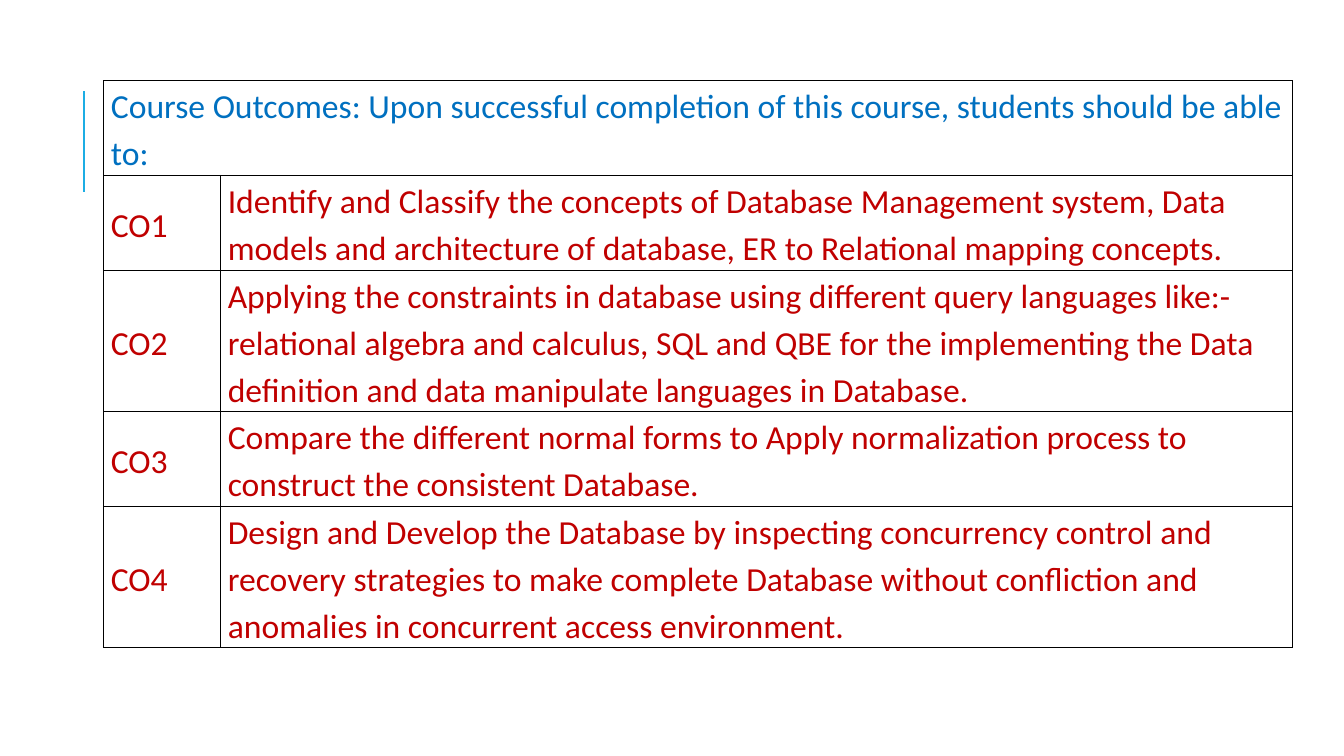
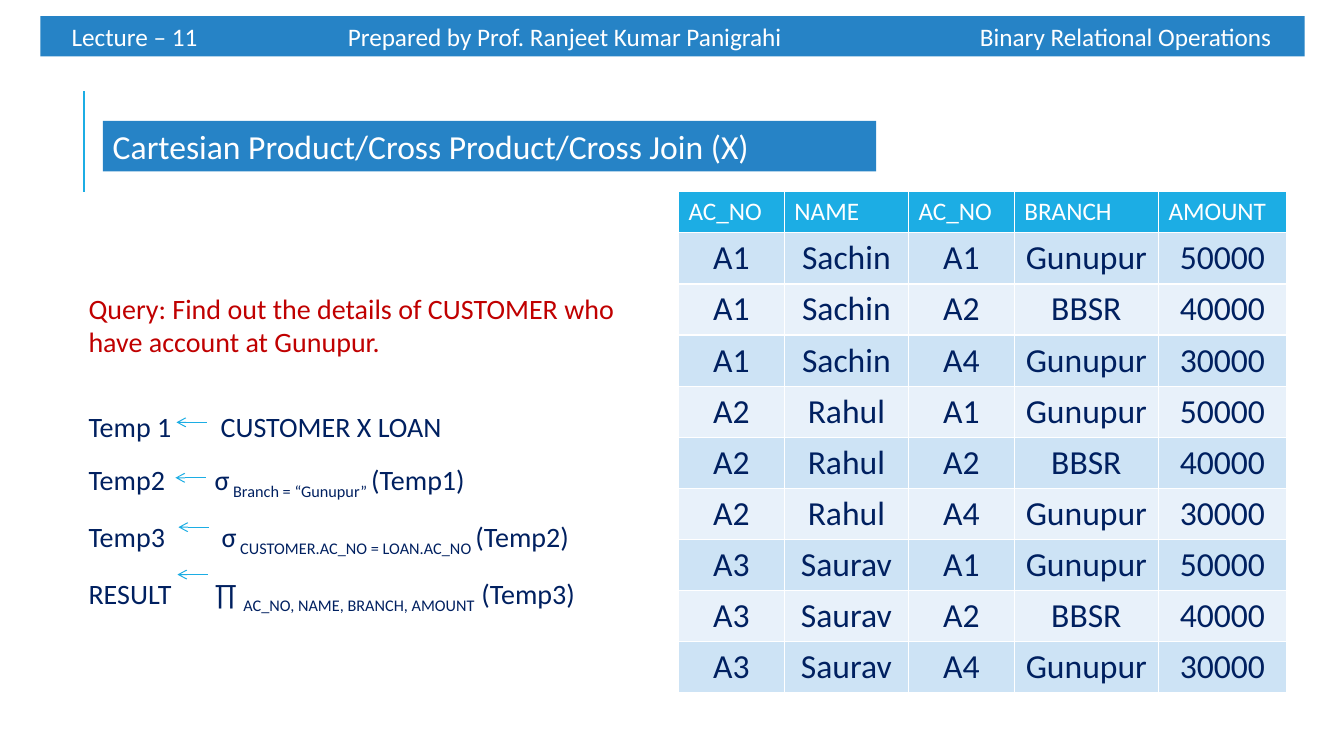
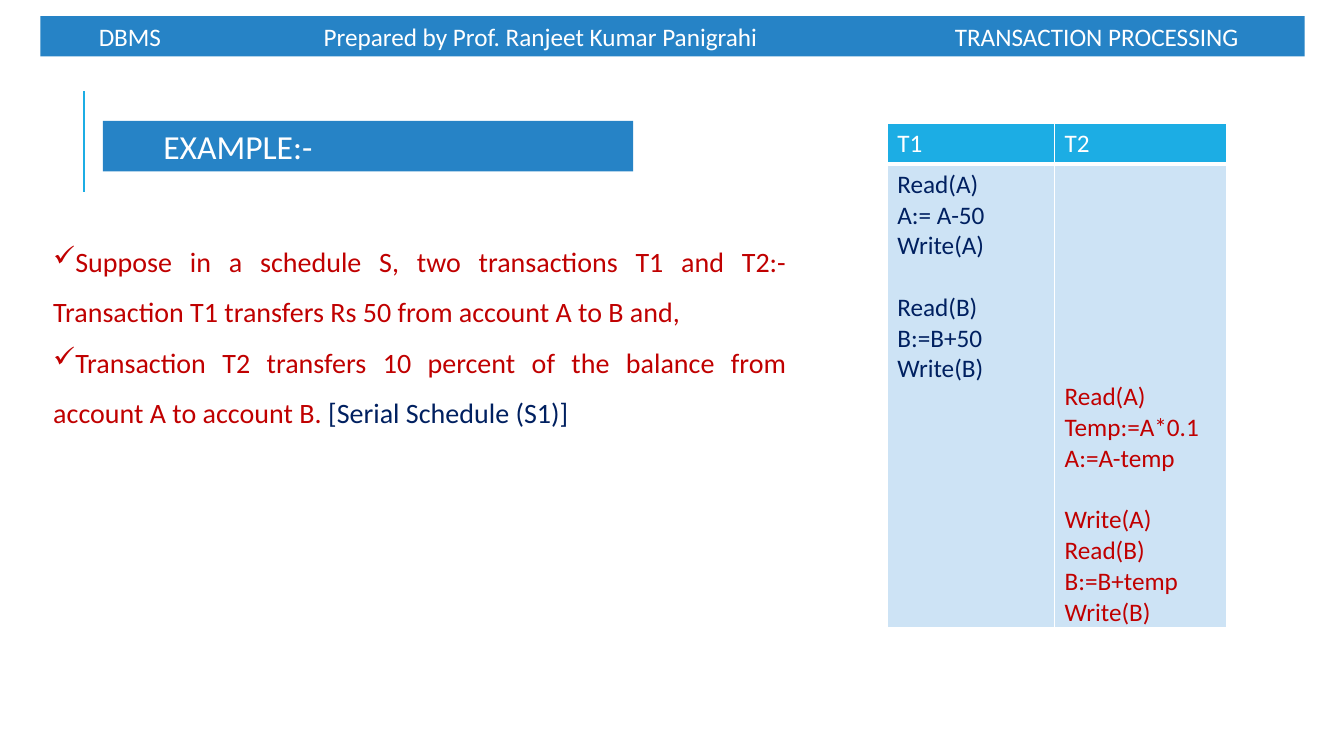
import pptx
import pptx.dml.color
import pptx.enum.shapes
import pptx.enum.text
import pptx.oxml
import pptx.oxml.ns
import pptx.util

PX = 9144
FONT = "Calibri"
SKY, BLUE, LINK = "1CADE4", "2683C6", "0070C0"
NAVY, RED, WHITE, BLACK = "002060", "C00000", "FFFFFF", "000000"
PALE, MIST = "CDE3F5", "E8F1FA"
ALIGN = pptx.enum.text.PP_ALIGN
ANCHOR = pptx.enum.text.MSO_ANCHOR
SHAPE = pptx.enum.shapes.MSO_SHAPE
LINE = pptx.enum.shapes.MSO_CONNECTOR.STRAIGHT


def px(*nums):
    """Turn px lengths into a list of EMU."""
    return [pptx.util.Emu(num * PX) for num in nums]


def rgb(code):
    """Turn a hex string into a colour."""
    return pptx.dml.color.RGBColor.from_string(code)


def style(item, vals):
    """Set each format value on an object."""
    for key, val in vals.items():
        setattr(item, key, val)


def inset(left=10, top=5, right=10, low=5):
    """Give the margins of a frame or cell as format values."""
    keys = "margin_left", "margin_top", "margin_right", "margin_bottom"
    return dict(zip(keys, px(left, top, right, low)))


def node(root, tag, **vals):
    """Append a drawing element with its attributes."""
    item = pptx.oxml.ns.qn("a:" + tag)
    item = root.makeelement(item, vals)
    root.append(item)
    return item


def para(dest, runs, size, vals=None, tabs=(), mark=None):
    """Fill one paragraph with (text, colour, baseline) runs."""
    prop = dest._p.get_or_add_pPr()
    if mark:
        prop.set("marL", "0")
        prop.set("indent", "0")
        node(prop, "buChar", char=mark)
    if tabs:
        stops = node(prop, "tabLst")
        for stop in tabs:
            node(stops, "tab", pos=str(stop * PX), algn="l")
    style(dest, vals or {})
    for text, tint, base in runs:
        run = dest.add_run()
        run.text = text
        style(run.font, {"name": FONT, "size": pptx.util.Pt(size), "bold": False})
        run.font.color.rgb = rgb(tint)
        if base:
            run._r.get_or_add_rPr().set("baseline", str(base * 1000))


def write(frame, paras, size):
    """Write paragraphs, each given as the options of para."""
    for num, opts in enumerate(paras):
        dest = frame.add_paragraph() if num else frame.paragraphs[0]
        para(dest, size=size, **opts)


def block(slide, box, paras, size):
    """Place a wrapped text box."""
    frame = slide.shapes.add_textbox(*px(*box)).text_frame
    style(frame, {"word_wrap": True, **inset()})
    write(frame, paras, size)


def bar(slide, box, text, size, left=10, tabs=()):
    """Place a blue bar with white text."""
    shape = slide.shapes.add_shape(SHAPE.RECTANGLE, *px(*box))
    shape.shadow.inherit = False
    shape.fill.solid()
    shape.fill.fore_color.rgb = rgb(BLUE)
    shape.line.fill.background()
    frame = shape.text_frame
    style(frame, {"word_wrap": True, "vertical_anchor": ANCHOR.MIDDLE, **inset(left)})
    opts = {"runs": [(text, WHITE, 0)], "vals": {"alignment": ALIGN.LEFT}, "tabs": tabs}
    write(frame, [opts], size)


def head(slide, parts, left, tabs):
    """Place the lecture band at the top."""
    bar(slide, (40, 16, 1254, 40), "\t".join(parts), 18, left, tabs)


def title(slide, text, width, left=10):
    """Place the title bar."""
    bar(slide, (102, 120, width, 50), text, 24, left)


def rule(slide, ends, weight, arrow=False):
    """Draw a sky blue line, with an arrowhead at its end if asked."""
    line = slide.shapes.add_connector(LINE, *px(*ends))
    line.line.color.rgb = rgb(SKY)
    line.line.width = pptx.util.Pt(weight)
    if arrow:
        node(line.line._get_or_add_ln(), "tailEnd", type="arrow")
    node(line._element.spPr, "effectLst")


def edge(cell, tint, **sides):
    """Draw cell borders of the given point widths."""
    prop = cell._tc.get_or_add_tcPr()
    for side in "LRTB":
        width = pptx.util.Pt(sides.get(side, 1))
        line = node(prop, "ln" + side, w=str(int(width)))
        node(node(line, "solidFill"), "srgbClr", val=tint)


def grid(slide, spot, cols, rows):
    """Place a plain table and return it."""
    box = px(*spot, sum(cols), sum(rows))
    table = slide.shapes.add_table(len(rows), len(cols), *box).table
    style(table, {"first_row": False, "horz_banding": False})
    for parts, key, sizes in ((table.columns, "width", cols), (table.rows, "height", rows)):
        for part, size in zip(parts, px(*sizes)):
            style(part, {key: size})
    return table


def fill(cell, paras, size, back=None, vals=None):
    """Write a cell and paint its back."""
    if back:
        cell.fill.solid()
        cell.fill.fore_color.rgb = rgb(back)
    else:
        cell.fill.background()
    style(cell, vals or inset())
    write(cell.text_frame, paras, size)


def base(deck):
    """Add a blank slide with the accent line."""
    slide = deck.slides.add_slide(deck.slide_layouts[6])
    rule(slide, (83, 190, 83, 90), 1.5)
    return slide


def goals(deck):
    """Build the course outcomes slide."""
    slide = base(deck)
    lead = "Course Outcomes: Upon successful completion of this course, students should be able to:"
    items = [
        "Identify and Classify the concepts of Database Management system, Data models and architecture of database, ER to Relational mapping concepts.",
        "Applying the constraints in database using different query languages like:- relational algebra and calculus, SQL and QBE for the implementing the Data definition and data manipulate languages in Database.",
        "Compare the different normal forms to Apply normalization process to construct the consistent Database.",
        "Design and Develop the Database by inspecting concurrency control and recovery strategies to make complete Database without confliction and anomalies in concurrent access environment.",
    ]
    table = grid(slide, (103, 80), (116, 1063), (94, 94, 140, 94, 140))
    table.cell(0, 0).merge(table.cell(0, 1))
    rows = [(lead, "")] + [(f"CO{num}", item) for num, item in enumerate(items, 1)]
    for row, texts in enumerate(rows):
        for col, text in enumerate(texts):
            cell = table.cell(row, col)
            edge(cell, BLACK)
            if not text:
                continue
            mid = row and not col
            vals = {"vertical_anchor": ANCHOR.MIDDLE if mid else ANCHOR.TOP, **inset(7, 0, 7, 0)}
            runs = [(text, RED if row else LINK, 0)]
            fill(cell, [{"runs": runs, "vals": {"line_spacing": 1.15}}], 24, None, vals)


def steps(slide, box):
    """Place the query, its steps and their arrows."""
    left, top = box[:2]
    query = "Query: Find out the details of CUSTOMER who have account at Gunupur."
    lines = [
        ("Temp 1\tCUSTOMER X LOAN", "", "", 131),
        ("Temp2\tσ", " Branch = “Gunupur” ", "(Temp1)", 125),
        ("Temp3\tσ", " CUSTOMER.AC_NO = LOAN.AC_NO ", "(Temp2)", 132),
        ("RESULT\t∏ ", "AC_NO, NAME, BRANCH, AMOUNT", " (Temp3)", 125),
    ]
    paras = [{"runs": [(query, RED, 0)]}]
    for num, (*texts, stop) in enumerate(lines):
        runs = [(text, NAVY, low) for text, low in zip(texts, (0, -25, 0)) if text]
        vals = {"line_spacing": 1.5, "space_before": pptx.util.Pt(0 if num else 24.4)}
        paras.append({"runs": runs, "vals": vals, "tabs": (stop,)})
    block(slide, box, paras, 20)
    for x, y in ((97, 135), (96, 190), (99, 239), (98, 286)):
        rule(slide, (left + x + 30, top + y, left + x, top + y), 0.75, True)


def join(slide, spot):
    """Place the table of the cross join."""
    names = "AC_NO", "NAME", "AC_NO", "BRANCH", "AMOUNT"
    people = ("A1", "Sachin"), ("A2", "Rahul"), ("A3", "Saurav")
    loans = ("A1", "Gunupur", "50000"), ("A2", "BBSR", "40000"), ("A4", "Gunupur", "30000")
    rows = [names] + [man + loan for man in people for loan in loans]
    table = grid(slide, spot, (105, 123, 105, 143, 127), [41] + [50] * 9)
    for row, texts in enumerate(rows):
        back = (PALE if row % 2 else MIST) if row else SKY
        vals = {"alignment": ALIGN.CENTER if row else ALIGN.LEFT}
        for col, text in enumerate(texts):
            cell = table.cell(row, col)
            edge(cell, WHITE)
            runs = [(text, NAVY if row else WHITE, 0)]
            fill(cell, [{"runs": runs, "vals": vals}], 24 if row else 18, back)


def cross(deck):
    """Build the Cartesian product slide."""
    slide = base(deck)
    join(slide, (673, 190))
    steps(slide, (78, 284, 583, 374))
    title(slide, "Cartesian Product/Cross Product/Cross Join (X)", 767)
    parts = "Lecture – 11", "Prepared by Prof. Ranjeet Kumar Panigrahi", "Binary Relational Operations"
    head(slide, parts, 31, (274, 901))


def plan(slide, spot):
    """Place the table of the two transactions."""
    table = grid(slide, spot, (166, 171), (41, 460))
    sides = [
        ("T1", NAVY, ANCHOR.TOP, ["Read(A)", "A:= A-50", "Write(A)", "Read(B)", "B:=B+50", "Write(B)"]),
        ("T2", RED, ANCHOR.BOTTOM, ["Read(A)", "Temp:=A*0.1", "A:=A-temp", "Write(A)", "Read(B)", "B:=B+temp", "Write(B)"]),
    ]
    for col, (name, tint, hold, lines) in enumerate(sides):
        top, body = table.cell(0, col), table.cell(1, col)
        edge(top, WHITE, B=3)
        edge(body, WHITE, T=3)
        fill(top, [{"runs": [(name, WHITE, 0)]}], 18, SKY)
        paras = [{"runs": [(line, tint, 0)]} for line in lines]
        paras[3]["vals"] = {"space_before": pptx.util.Pt(22)}
        fill(body, paras, 18, PALE, {"vertical_anchor": hold, **inset(low=0)})


def trade(deck):
    """Build the serial schedule slide."""
    slide = base(deck)
    parts = "DBMS", "Prepared by Prof. Ranjeet Kumar Panigrahi", "TRANSACTION PROCESSING"
    head(slide, parts, 58, (223, 849))
    points = [
        [("Suppose in a schedule S, two transactions T1 and T2:- Transaction T1 transfers Rs 50 from account A to B and,", RED, 0)],
        [("Transaction T2 transfers 10 percent of the balance from account A to account B. ", RED, 0),
         ("[Serial Schedule (S1)]", NAVY, 0)],
    ]
    vals = {"alignment": ALIGN.JUSTIFY, "line_spacing": 1.5}
    paras = [{"runs": runs, "vals": vals, "mark": "✓"} for runs in points]
    block(slide, (43, 221, 747, 212), paras, 20)
    title(slide, "EXAMPLE:-", 526, 60)
    plan(slide, (880, 122))


def main():
    """Build and save the deck."""
    deck = pptx.Presentation()
    style(deck, dict(zip(("slide_width", "slide_height"), px(1333, 750))))
    for make in (goals, cross, trade):
        make(deck)
    deck.save("out.pptx")


if __name__ == "__main__":
    main()
